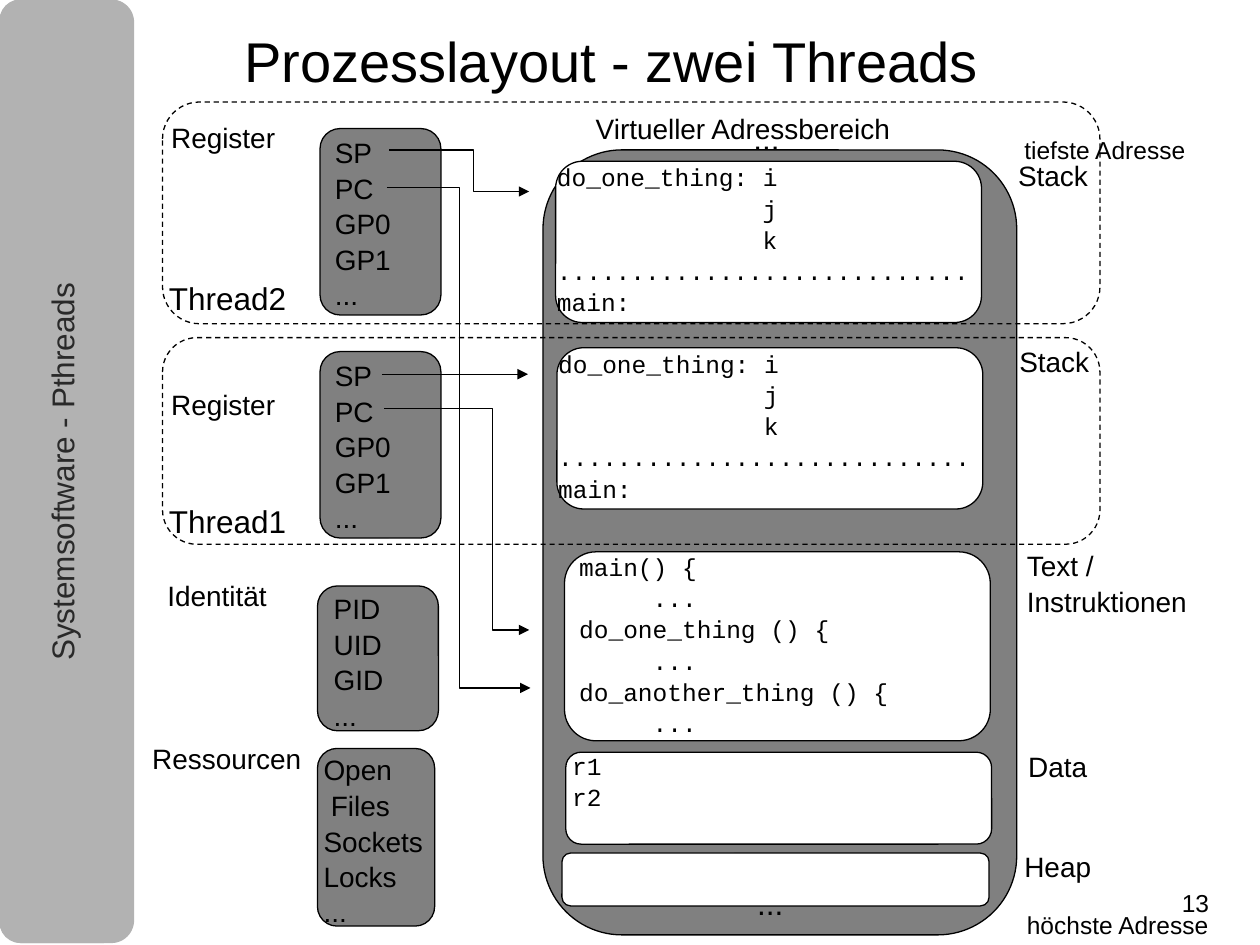
from lxml.etree import SubElement as Sub
from pptx import Presentation
from pptx.dml.color import RGBColor as Color
from pptx.enum.dml import MSO_LINE as Dash
from pptx.enum.shapes import MSO_CONNECTOR as Link, MSO_SHAPE as Kind
from pptx.enum.text import MSO_ANCHOR as Anchor, PP_ALIGN as Align
from pptx.oxml.ns import qn
from pptx.util import Inches, Pt

BLACK, WHITE, GRAY, SILVER = "000000", "FFFFFF", "808080", "B2B2B2"
CHAR = 7 / 60
REGS = ["SP", "PC", "GP0", "GP1", "..."]
FRAMES = ["do_one_thing: i", ("j", 14), ("k", 14), "." * 28, "main:"]
CODE = [("main() {", 1), ("...", 6), ("do_one_thing () {", 1),
        ("...", 6), ("do_another_thing () {", 1), ("...", 6)]


def paint(part, tone):
    part.solid()
    part.fore_color.rgb = Color.from_string(tone)


def stroke(line, tone=BLACK):
    paint(line.fill, tone)
    line.width = Pt(0.75)


def box(slide, x, y, w, h, fill=None, line=BLACK):
    shape = slide.shapes.add_shape(Kind.ROUNDED_RECTANGLE, *map(Inches, (x, y, w, h)))
    shape.shadow.inherit = False
    stroke(shape.line, line)
    if fill:
        paint(shape.fill, fill)
    else:
        shape.fill.background()
        shape.line.dash_style = Dash.DASH


def text(slide, x, y, w, h, lines, size=16, font="Arial", tone=BLACK, pad=False,
         mid=False, align=Align.LEFT, first=0.93, wrap=True, turn=0):
    shape = slide.shapes.add_textbox(*map(Inches, (x, y, w, h)))
    shape.rotation = turn
    frame = shape.text_frame
    frame.word_wrap = wrap
    frame.vertical_anchor = Anchor.MIDDLE if mid else Anchor.TOP
    frame.margin_left = frame.margin_right = Inches(0.1 if pad else 0)
    frame.margin_top = frame.margin_bottom = Inches(0.05 if pad else 0)
    for i, item in enumerate([lines] if isinstance(lines, str) else lines):
        words, cols = (item, 0) if isinstance(item, str) else item
        para = frame.add_paragraph() if i else frame.paragraphs[0]
        para.alignment = align
        if i:
            para.space_before = Pt(1)
        else:
            para.line_spacing = first
        if cols:
            para._p.get_or_add_pPr().set("marL", str(Inches(cols * CHAR)))
        run = para.add_run()
        run.text = words
        run.font.size, run.font.name = Pt(size), font
        run.font.color.rgb = Color.from_string(tone)


def code(slide, x, y, h, lines, mid=True):
    text(slide, x, y, 3.38, h, lines, size=14, font="Courier New", mid=mid, first=0.88)


def label(slide, x, y, words, w=1.21):
    text(slide, x, y, w, 0.36, words, pad=True)


def tip(shape):
    stroke(shape.line)
    Sub(shape.line._get_or_add_ln(), qn("a:tailEnd"), type="triangle")


def bend(slide, x, y, turn, end, low):
    spots = [(turn, y), (turn, low), (end, low)]
    form = slide.shapes.build_freeform(Inches(x), Inches(y))
    form.add_line_segments([(Inches(a), Inches(b)) for a, b in spots], close=False)
    shape = form.convert_to_shape()
    shape.shadow.inherit = False
    shape.fill.background()
    tip(shape)


def arrow(slide, x, y, end):
    line = slide.shapes.add_connector(Link.STRAIGHT, *map(Inches, (x, y, end, y)))
    Sub(line._element.spPr, qn("a:effectLst"))
    tip(line)


def regs(slide, y):
    box(slide, 2.54, y, 0.96, 1.48, GRAY)
    text(slide, 2.56, y + 0.03, 0.8, 1.42, REGS, pad=True)


def thread(slide, y, h, name, base):
    box(slide, 1.29, y, 7.44, h)
    text(slide, 1.34, base, 1.08, 0.29, name, size=18)


def stack(slide, x, y):
    box(slide, x, y, 3.38, 1.28, WHITE)
    code(slide, x + 0.01, y - 0.31, 1.89, FRAMES)
    text(slide, x + 3.67, y, 0.83, 0.36, "Stack")


def frame(slide):
    for w in (0.98, 1.06):
        box(slide, 0, 0, w, 7.48, SILVER, SILVER)
    text(slide, -3.18, 3.5, 7.48, 0.49, "Systemsoftware - Pthreads", size=18,
         tone="292929", pad=True, align=Align.CENTER, turn=270, first=0.94)
    text(slide, 1.84, 0.19, 6.66, 0.63, "Prozesslayout - zwei Threads", size=32,
         pad=True, mid=True, wrap=False)


def space(slide):
    box(slide, 4.31, 1.19, 3.76, 6.23, GRAY)
    label(slide, 4.63, 0.86, "Virtueller Adressbereich", w=2.94)
    box(slide, 4.48, 4.38, 3.38, 1.5, WHITE)
    code(slide, 4.48, 4.02, 2.22, CODE)
    text(slide, 8.15, 4.38, 1.5, 0.75, ["Text /", "Instruktionen"])
    box(slide, 4.49, 5.97, 3.38, 0.73, WHITE)
    code(slide, 4.54, 5.99, 0.72, ["r1", "r2"], mid=False)
    text(slide, 8.16, 5.97, 1.38, 0.46, "Data")
    box(slide, 4.46, 6.77, 3.39, 0.42, WHITE)
    text(slide, 8.13, 6.77, 1.38, 0.26, "Heap")
    for x, y in ((6.01, 7.04), (5.98, 0.97)):
        text(slide, x, y, 0.25, 0.37, "...", size=18, wrap=False)
    text(slide, 8.13, 1.09, 1.54, 0.26, "tiefste Adresse", size=14)
    text(slide, 8.15, 7.24, 1.54, 0.26, "höchste Adresse", size=14)


def main():
    deck = Presentation()
    deck.slide_width, deck.slide_height = Inches(10), Inches(7.5)
    slide = deck.slides.add_slide(deck.slide_layouts[6])
    frame(slide)
    space(slide)
    label(slide, 1.26, 0.93, "Register")
    regs(slide, 1.02)
    label(slide, 1.23, 4.57, "Identität")
    box(slide, 2.52, 4.65, 0.96, 1.15, GRAY)
    text(slide, 2.55, 4.67, 0.68, 1.14, ["PID", "UID", "GID", "..."], pad=True)
    bend(slide, 3.09, 1.19, 3.76, 4.2, 1.52)
    bend(slide, 3.07, 1.49, 3.65, 4.21, 5.46)
    thread(slide, 0.81, 1.76, "Thread2", 2.24)
    label(slide, 1.26, 3.05, "Register")
    regs(slide, 2.79)
    arrow(slide, 3.03, 2.97, 4.19)
    bend(slide, 3.05, 3.24, 3.91, 4.2, 5)
    thread(slide, 2.68, 1.64, "Thread1", 4.01)
    text(slide, 9.38, 7.05, 0.3, 0.32, "13", size=14, wrap=False, first=1.0)
    stack(slide, 4.41, 1.28)
    stack(slide, 4.42, 2.76)
    box(slide, 2.52, 5.94, 0.93, 1.41, GRAY)
    label(slide, 1.11, 5.86, "Ressourcen", w=1.51)
    text(slide, 2.47, 5.95, 1.07, 1.4,
         ["Open", ("Files", 0.5), "Sockets", "Locks", "..."], pad=True)
    deck.save("out.pptx")


if __name__ == "__main__":
    main()
